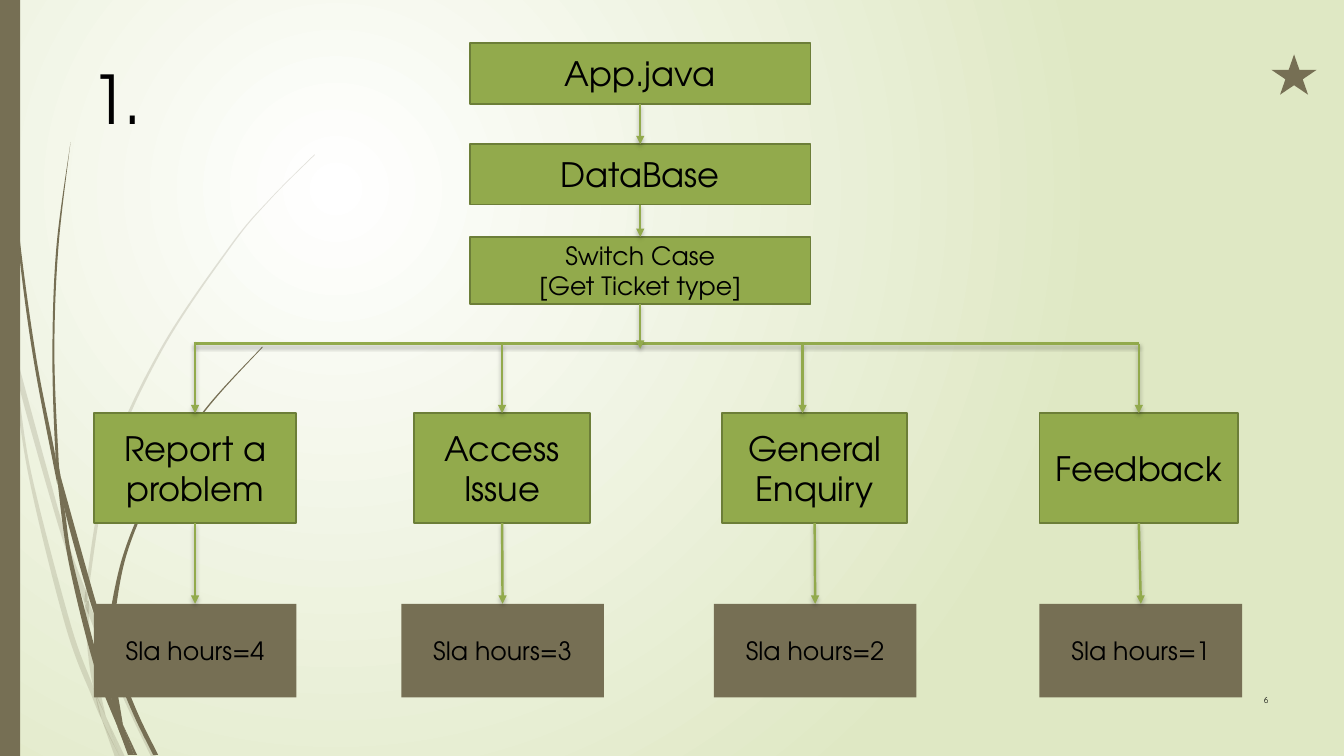
"""Build a flowchart slide that routes ticket types to their SLA hours."""
from typing import NamedTuple, Optional

from lxml.etree import SubElement
from pptx import Presentation
from pptx.dml.color import RGBColor
from pptx.enum.shapes import MSO_CONNECTOR, MSO_SHAPE
from pptx.enum.text import MSO_ANCHOR, PP_ALIGN
from pptx.oxml import parse_xml
from pptx.oxml.ns import nsdecls, qn
from pptx.util import Inches, Pt

COLORS = {"green": "92AA4C", "edge": "6C7E38", "brown": "766F54",
          "text": "000000", "center": "FFFFFF", "rim": "DFE8C4"}
FONT = "TeX Gyre Adventor"
BUS_Y = 3.41
Points = list[tuple[float, float]]


class Box(NamedTuple):
    text: str
    left: float
    top: float
    width: float
    height: float
    size: int = 24
    fill: str = "green"
    edge: Optional[str] = "edge"


class Branch(NamedTuple):
    text: str
    left: float
    width: float
    hours: int
    hours_left: float
    drop_x: Optional[float] = None
    drop_y: float = BUS_Y


class Blade(NamedTuple):
    left: Points
    right: Points


STEPS = [
    Box("App.java", 4.66, 0.43, 3.38, 0.6),
    Box("DataBase", 4.66, 1.43, 3.38, 0.6),
    Box("Switch Case\n[Get Ticket type]", 4.66, 2.35, 3.38, 0.67, 18),
]
BRANCHES = [
    Branch("Report a problem", 0.93, 2.01, 4, 0.93, drop_y=3.39),
    Branch("Access Issue", 4.11, 1.74, 3, 3.98),
    Branch("General Enquiry", 7.16, 1.84, 2, 7.08, 7.96),
    Branch("Feedback", 10.31, 1.97, 1, 10.31),
]
FAINT_BLADES = [
    Blade([(0, 2.99), (0.1, 3.44), (0.11, 3.5)], [(0, 2.82), (0.09, 3.22), (0.11, 3.5)]),
    Blade([(0.14, 3.45), (0.17, 3.76), (0.58, 5.22), (0.84, 5.99)],
          [(0.14, 3.45), (0.62, 5.2), (0.85, 5.86)]),
    Blade([(0.88, 5.96), (0.88, 6.1), (1.23, 6.94), (1.5, 7.51)],
          [(0.88, 5.96), (0.92, 6.07), (1.27, 6.92), (1.55, 7.51)]),
    Blade([(1.05, 7.11), (1.19, 7.51)], [(1.05, 7.11), (1.24, 7.51)]),
    Blade([(0.11, 3.5), (0.28, 4.7), (0.65, 6.21), (0.92, 6.93), (1.01, 7.14)],
          [(0.11, 3.5), (0.17, 3.76), (0.31, 4.69), (0.7, 6.19), (0.93, 6.83), (1.01, 7.14)]),
    Blade([(0.84, 5.99), (0.87, 6.46), (0.93, 6.83), (1.05, 7.11)],
          [(0.84, 5.99), (0.88, 6.1), (0.91, 6.46), (1.05, 7.11)]),
    Blade([(3.12, 1.53), (2.68, 1.97), (2.28, 2.44), (1.58, 3.48), (1.07, 4.61),
           (0.85, 5.84), (0.88, 5.96)],
          [(3.12, 1.54), (2.68, 1.98), (2.29, 2.45), (1.6, 3.49), (1.1, 4.62),
           (0.88, 5.84), (0.88, 5.96)]),
    Blade([(1.01, 7.14), (1.14, 7.51)], [(1.01, 7.14), (1.19, 7.51)]),
    Blade([(0.85, 5.86), (0.84, 5.99), (0.88, 6.1)], [(0.85, 5.86), (0.88, 5.96), (0.88, 6.1)]),
    Blade([(0.93, 6.83), (1.01, 7.14), (1.19, 7.51)], [(0.93, 6.83), (1.05, 7.11), (1.19, 7.51)]),
]
DARK_BLADES = [
    Blade([(0.03, 0), (0.07, 1.1), (0.17, 2.33), (0.33, 3.55), (0.57, 4.81)],
          [(0.04, 0), (0.08, 1.09), (0.19, 2.32), (0.36, 3.55), (0.55, 4.53), (0.57, 4.81)]),
    Blade([(0.6, 4.72), (0.64, 5.05), (0.88, 5.92), (1.06, 6.45)],
          [(0.6, 4.72), (0.93, 5.9), (1.06, 6.31)]),
    Blade([(1.1, 6.41), (1.11, 6.56), (1.32, 7.08), (1.52, 7.49)],
          [(1.1, 6.41), (1.36, 7.06), (1.57, 7.49)]),
    Blade([(0.57, 4.77), (0.68, 5.57), (0.93, 6.59), (1.17, 7.22)],
          [(0.57, 4.77), (0.64, 5.05), (0.72, 5.56), (0.98, 6.57), (1.1, 6.91), (1.17, 7.22)]),
    Blade([(0.7, 1.41), (0.56, 2.45), (0.52, 3.49), (0.55, 4.49), (0.6, 4.72)],
          [(0.7, 1.41), (0.58, 2.45), (0.54, 3.49), (0.58, 4.53), (0.6, 4.72)]),
    Blade([(1.22, 7.19), (1.33, 7.49)], [(1.22, 7.19), (1.36, 7.49)]),
    Blade([(0.55, 4.49), (0.57, 4.77), (0.64, 5.05)], [(0.55, 4.49), (0.6, 4.72), (0.64, 5.05)]),
    Blade([(2.6, 3.44), (2.04, 4.05), (1.56, 4.74), (1.22, 5.51), (1.06, 6.31), (1.1, 6.41)],
          [(2.61, 3.44), (2.05, 4.06), (1.58, 4.76), (1.25, 5.52), (1.11, 6.33), (1.1, 6.41)]),
    Blade([(1.17, 7.22), (1.27, 7.49)], [(1.17, 7.22), (1.31, 7.49)]),
    Blade([(1.06, 6.45), (1.1, 6.91), (1.22, 7.19)], [(1.06, 6.45), (1.11, 6.56), (1.22, 7.19)]),
    Blade([(1.1, 6.91), (1.17, 7.22), (1.3, 7.49)], [(1.1, 6.91), (1.22, 7.19), (1.33, 7.49)]),
]


def rgb(name: str) -> RGBColor:
    return RGBColor.from_string(COLORS[name])


def paint(sp, fill: str, edge: Optional[str] = None) -> None:
    sp.shadow.inherit = False
    sp.fill.solid()
    sp.fill.fore_color.rgb = rgb(fill)
    if edge:
        sp.line.color.rgb = rgb(edge)
        sp.line.width = Pt(1.25)
    else:
        sp.line.fill.background()


def write(sp, text: str, *, size: int, font: str = FONT, align=PP_ALIGN.CENTER,
          anchor=MSO_ANCHOR.MIDDLE) -> None:
    tf = sp.text_frame
    tf.word_wrap = True
    tf.vertical_anchor = anchor
    for i, line in enumerate(text.split("\n")):
        p = tf.add_paragraph() if i else tf.paragraphs[0]
        p.alignment = align
        r = p.add_run()
        r.text = line
        r.font.size, r.font.name = Pt(size), font
        r.font.color.rgb = rgb("text")


def add_preset(s, kind, left: float, top: float, width: float, height: float):
    return s.shapes.add_shape(kind, *map(Inches, (left, top, width, height)))


def add_box(s, box: Box):
    sp = add_preset(s, MSO_SHAPE.RECTANGLE, box.left, box.top, box.width, box.height)
    paint(sp, box.fill, box.edge)
    write(sp, box.text, size=box.size)
    return sp


def add_line(s, start=(0, 0), end=(0, 0), *, source=None, target=None, arrow: bool = True):
    cn = s.shapes.add_connector(MSO_CONNECTOR.STRAIGHT, *map(Inches, (*start, *end)))
    if source is not None:
        cn.begin_connect(source, 2)
    if target is not None:
        cn.end_connect(target, 0)
    cn.line.color.rgb = rgb("green")
    cn.line.width = Pt(1.75)
    if arrow:
        SubElement(cn.line._get_or_add_ln(), qn("a:tailEnd"), type="triangle")
    cn._element.spPr.append(parse_xml(
        f'<a:effectLst {nsdecls("a")}><a:outerShdw blurRad="{Pt(3)}" dist="{Pt(2)}" '
        f'dir="5400000" rotWithShape="0"><a:srgbClr val="{COLORS["text"]}">'
        '<a:alpha val="25000"/></a:srgbClr></a:outerShdw></a:effectLst>'))


def controls(knots: Points) -> Points:
    padded = [knots[0], *knots, knots[-1]]
    points = []
    for a, b, c, d in zip(padded, padded[1:], padded[2:], padded[3:]):
        points += [(b[0] + (c[0] - a[0]) / 6, b[1] + (c[1] - a[1]) / 6),
                   (c[0] - (d[0] - b[0]) / 6, c[1] - (d[1] - b[1]) / 6), c]
    return points


def add_blade(s, blade: Blade, alpha: Optional[int] = None) -> None:
    back = blade.right[::-1]
    outline = [blade.left[0], *controls(blade.left), blade.left[-1], back[0], back[0],
               *controls(back)]
    start, *rest = [(x * 1000, y * 1000) for x, y in outline]
    builder = s.shapes.build_freeform(*start, scale=Inches(1) / 1000)
    builder.add_line_segments(rest, close=True)
    sp = builder.convert_to_shape()
    paint(sp, "brown")
    lines = list(sp._element.iter(qn("a:lnTo")))
    for trio in zip(lines[::3], lines[1::3], lines[2::3]):
        curve = parse_xml(f'<a:cubicBezTo {nsdecls("a")}/>')
        trio[0].addprevious(curve)
        for line in trio:
            curve.append(line[0])
            line.getparent().remove(line)
    if alpha:
        color = sp._element.spPr.find(f'{qn("a:solidFill")}/{qn("a:srgbClr")}')
        SubElement(color, qn("a:alpha"), val=str(alpha * 1000))


def set_background(s) -> None:
    s.background.fill.solid()
    bg_pr = s._element.cSld.bg.bgPr
    bg_pr.replace(bg_pr[0], parse_xml(
        f'<a:gradFill {nsdecls("a")} rotWithShape="1"><a:gsLst>'
        f'<a:gs pos="0"><a:srgbClr val="{COLORS["center"]}"/></a:gs>'
        f'<a:gs pos="100000"><a:srgbClr val="{COLORS["rim"]}"/></a:gs></a:gsLst>'
        '<a:path path="circle"><a:fillToRect l="50000" t="50000" r="100000" b="100000"/>'
        '</a:path></a:gradFill>'))


def main() -> None:
    prs = Presentation()
    prs.slide_width, prs.slide_height = Inches(13.33), Inches(7.5)
    s = prs.slides.add_slide(prs.slide_layouts[6])
    set_background(s)
    for blade in FAINT_BLADES:
        add_blade(s, blade, 20)
    for blade in DARK_BLADES:
        add_blade(s, blade)
    paint(add_preset(s, MSO_SHAPE.RECTANGLE, 0, 0, 0.2, 7.5), "brown")
    paint(add_preset(s, MSO_SHAPE.STAR_5_POINT, 12.61, 0.54, 0.45, 0.4), "brown")
    number = s.shapes.add_textbox(Inches(12.28), Inches(6.9), Inches(0.3), Inches(0.1))
    tf = number.text_frame
    tf.margin_left = tf.margin_right = tf.margin_top = tf.margin_bottom = 0
    write(number, "6", size=6, font="Quicksand", align=PP_ALIGN.RIGHT, anchor=MSO_ANCHOR.TOP)
    title = s.shapes.add_textbox(Inches(0.8), Inches(0.52), Inches(1.12), Inches(0.91))
    write(title, "1.", size=48, align=PP_ALIGN.LEFT, anchor=MSO_ANCHOR.TOP)
    steps = [add_box(s, step) for step in STEPS]
    for source, target in zip(steps, steps[1:]):
        add_line(s, source=source, target=target)
    add_line(s, (1.92, BUS_Y), (11.3, BUS_Y), arrow=False)
    add_line(s, (6.35, 3.02), (6.35, 3.46), source=steps[-1])
    for b in BRANCHES:
        kind = add_box(s, Box(b.text, b.left, 4.1, b.width, 1.09))
        sla = add_box(s, Box(f"Sla hours={b.hours}", b.hours_left, 5.99, 2.01, 0.93,
                             18, "brown", None))
        x = b.drop_x or b.left + b.width / 2
        add_line(s, (x, b.drop_y), (x, 4.1), target=None if b.drop_x else kind)
        add_line(s, source=kind, target=sla)
    prs.save("out.pptx")


if __name__ == "__main__":
    main()
